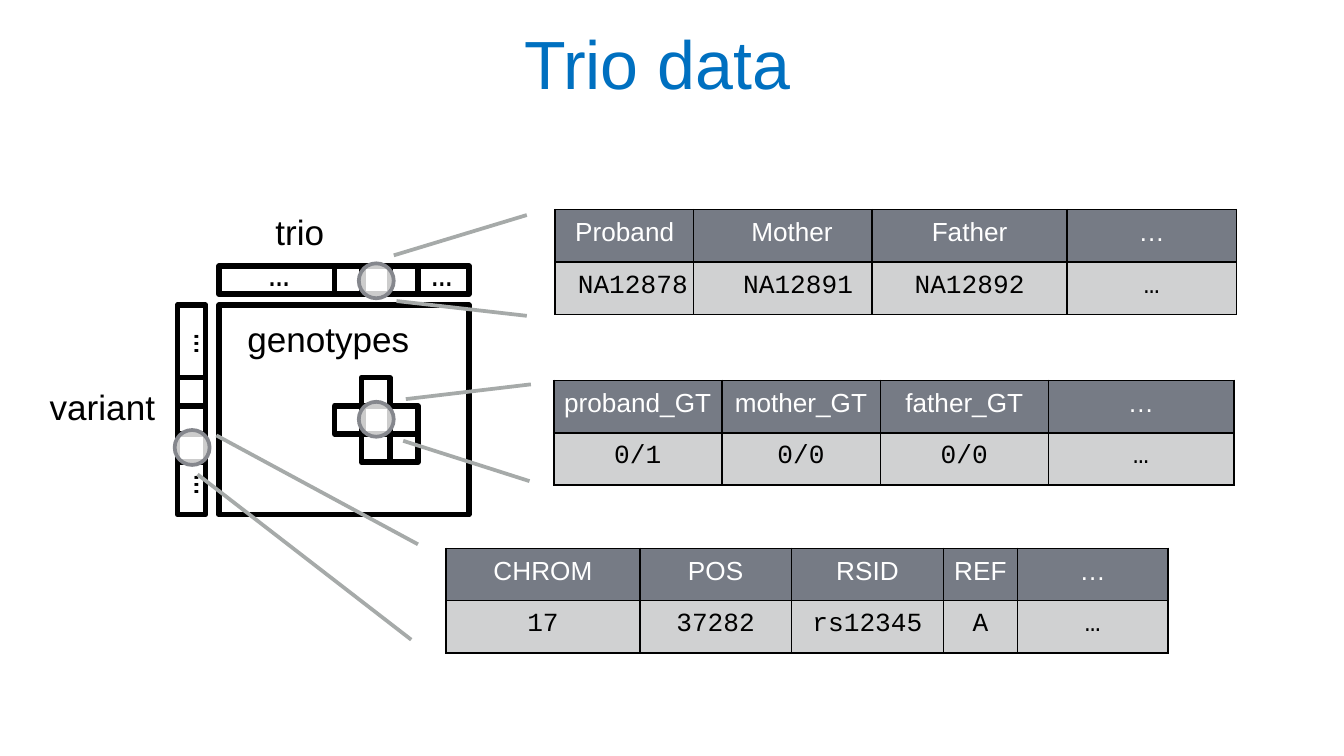
from lxml import etree
from pptx import Presentation
from pptx.dml.color import RGBColor
from pptx.enum.shapes import MSO_CONNECTOR, MSO_SHAPE
from pptx.enum.text import MSO_ANCHOR, MSO_AUTO_SIZE, PP_ALIGN
from pptx.oxml.ns import qn
from pptx.util import Inches, Pt

STRAIGHT = MSO_CONNECTOR.STRAIGHT
RECTANGLE, OVAL = MSO_SHAPE.RECTANGLE, MSO_SHAPE.OVAL
BOTTOM, NO_AUTOFIT = MSO_ANCHOR.BOTTOM, MSO_AUTO_SIZE.NONE
LEFT, CENTER = PP_ALIGN.LEFT, PP_ALIGN.CENTER

SANS, MONO = "Arial", "Courier New"
BLACK, WHITE, BLUE = "000000", "FFFFFF", "0070C0"
RING_GRAY, LINE_GRAY = "85878D", "A6AAA9"
HEADER_GRAY, VALUE_GRAY = "767B85", "D0D1D2"

CELL = 0.21
COLUMN_LEFTS = (2.49, 2.69, 2.9)
ROW_TOPS = (2.81, 3.02, 3.23)
TRIO_TOP, VARIANT_LEFT, MATRIX_LEFT, MATRIX_TOP = 1.98, 1.32, 1.63, 2.27
MATRIX_WIDTH, MATRIX_HEIGHT = 1.86, 1.56
GENOTYPE_CELLS = ((1, 0), (0, 1), (1, 1), (2, 1), (1, 2), (2, 2))
CALLOUT_LINES = (
    (3, 3.28, 3.94, 3.58), (3.02, 2.97, 3.95, 2.86),
    (2.95, 2.24, 3.92, 2.35), (2.93, 1.9, 3.92, 1.6),
    (1.61, 3.24, 3.11, 4.05), (1.47, 3.53, 3.06, 4.76),
)
LENS_CENTERS = ((2.8, 3.12), (2.8, 2.09), (1.43, 3.33))
LENS_SIZE = 0.26


def color(value):
    """Return the colour for a hex string."""
    return RGBColor.from_string(value)


def add_run(paragraph, text, size, font_name, font_color):
    """Add one formatted run to a paragraph."""
    run = paragraph.add_run()
    run.text = text
    run.font.size = Pt(size)
    run.font.name = font_name
    run.font.bold = False
    run.font.color.rgb = color(font_color)


def clear_margins(frame):
    """Remove the inner margins of a text frame."""
    frame.margin_left = frame.margin_right = frame.margin_bottom = 0
    frame.margin_top = Inches(0.01)


def add_title(slide, text):
    """Place and format the title placeholder."""
    title = slide.shapes.title
    title.left, title.top = Inches(3.9), Inches(0.13)
    title.width, title.height = Inches(2.05), Inches(0.64)
    frame = title.text_frame
    clear_margins(frame)
    frame.auto_size = NO_AUTOFIT
    frame.vertical_anchor = BOTTOM
    paragraph = frame.paragraphs[0]
    paragraph.alignment = LEFT
    add_run(paragraph, text, 36.5, SANS, BLUE)


def add_label(slide, text, left, top, width, height=0.34, font_name=SANS, vertical=False):
    """Add a one-line label, optionally reading upwards."""
    box = slide.shapes.add_textbox(Inches(left), Inches(top), Inches(width), Inches(height))
    frame = box.text_frame
    clear_margins(frame)
    frame.word_wrap = True
    paragraph = frame.paragraphs[0]
    if vertical:
        frame.margin_top = 0
        paragraph.line_spacing = Pt(18.6)
        box.element.txBody.find(qn("a:bodyPr")).set("vert", "vert270")
    add_run(paragraph, text, 18.8, font_name, BLACK)


def add_box(slide, left, top, width=CELL, height=CELL):
    """Add an unfilled black rectangle."""
    shape = slide.shapes.add_shape(
        RECTANGLE, Inches(left), Inches(top), Inches(width), Inches(height))
    shape.shadow.inherit = False
    shape.fill.background()
    shape.line.color.rgb = color(BLACK)
    shape.line.width = Pt(3)


def add_lens(slide, center_x, center_y):
    """Add a translucent white circle with a gray ring."""
    lens = slide.shapes.add_shape(
        OVAL, Inches(center_x - LENS_SIZE / 2), Inches(center_y - LENS_SIZE / 2),
        Inches(LENS_SIZE), Inches(LENS_SIZE))
    lens.shadow.inherit = False
    lens.fill.solid()
    lens.fill.fore_color.rgb = color(WHITE)
    fill_color = lens.element.spPr.find(qn("a:solidFill"))[0]
    etree.SubElement(fill_color, qn("a:alpha")).set("val", "80000")
    lens.line.color.rgb = color(RING_GRAY)
    lens.line.width = Pt(2)


def add_callout_line(slide, *ends):
    """Add a gray line between two points."""
    line = slide.shapes.add_connector(STRAIGHT, *map(Inches, ends))
    line.line.color.rgb = color(LINE_GRAY)
    line.line.width = Pt(2)
    etree.SubElement(line.element.spPr, qn("a:effectLst"))


def add_borders(cell):
    """Draw a thin black border round a table cell."""
    properties = cell._tc.get_or_add_tcPr()
    for side in ("a:lnL", "a:lnR", "a:lnT", "a:lnB"):
        border = etree.SubElement(properties, qn(side), w=str(Pt(1)))
        fill = etree.SubElement(border, qn("a:solidFill"))
        etree.SubElement(fill, qn("a:srgbClr"), val=BLACK)


def format_cell(cell, text, is_header, indent):
    """Fill a table cell, centring its text unless an indent is given."""
    add_borders(cell)
    cell.fill.solid()
    cell.fill.fore_color.rgb = color(HEADER_GRAY if is_header else VALUE_GRAY)
    cell.margin_left = Inches(indent)
    cell.margin_right = cell.margin_bottom = 0
    cell.margin_top = Inches(0.06 if is_header else 0.07)
    paragraph = cell.text_frame.paragraphs[0]
    paragraph.alignment = LEFT if indent else CENTER
    add_run(paragraph, text, 14, SANS if is_header else MONO, WHITE if is_header else BLACK)


def add_data_table(slide, left, top, widths, rows, indents=None):
    """Add a table with one header row and one value row."""
    row_height = Inches(0.39)
    table = slide.shapes.add_table(
        len(rows), len(widths), Inches(left), Inches(top),
        Inches(sum(widths)), row_height * len(rows)).table
    for column, width in zip(table.columns, widths):
        column.width = Inches(width)
    for row_index, texts in enumerate(rows):
        table.rows[row_index].height = row_height
        for column_index, text in enumerate(texts):
            indent = (indents or {}).get((row_index, column_index), 0)
            format_cell(table.cell(row_index, column_index), text, row_index == 0, indent)


def add_matrix(slide):
    """Draw the genotype matrix with its trio and variant tracks."""
    add_box(slide, MATRIX_LEFT, MATRIX_TOP, MATRIX_WIDTH, MATRIX_HEIGHT)
    add_box(slide, MATRIX_LEFT, TRIO_TOP, MATRIX_WIDTH)
    add_box(slide, VARIANT_LEFT, MATRIX_TOP, height=MATRIX_HEIGHT)
    for left in COLUMN_LEFTS:
        add_box(slide, left, TRIO_TOP)
    for top in ROW_TOPS:
        add_box(slide, VARIANT_LEFT, top)
    for column, row in GENOTYPE_CELLS:
        add_box(slide, COLUMN_LEFTS[column], ROW_TOPS[row])


def add_labels(slide):
    """Name the matrix and its tracks."""
    add_label(slide, "genotypes", 1.84, 2.35, 1.3)
    add_label(slide, "variant", 0.37, 2.86, 0.9)
    add_label(slide, "trio", 2.05, 1.56, 0.5)
    for left in (2, 3.21):
        add_label(slide, "…", left, 1.86, 0.17, font_name=MONO)
    for top in (2.47, 3.52):
        add_label(slide, "…", 1.27, top, 0.27, 0.17, MONO, vertical=True)


def main():
    """Build the slide and save it."""
    presentation = Presentation()
    presentation.slide_width = Inches(10)
    presentation.slide_height = Inches(10) * 9 // 16
    slide = presentation.slides.add_slide(presentation.slide_layouts[5])
    add_title(slide, "Trio data")
    add_matrix(slide)
    add_labels(slide)
    for ends in CALLOUT_LINES:
        add_callout_line(slide, *ends)
    for center in LENS_CENTERS:
        add_lens(slide, *center)
    add_data_table(slide, 4.12, 2.83, (1.25, 1.18, 1.25, 1.38), (
        ("proband_GT", "mother_GT", "father_GT", "…"), ("0/1", "0/0", "0/0", "…")))
    add_data_table(slide, 4.13, 1.56, (1.03, 1.33, 1.45, 1.26), (
        ("Proband", "Mother", "Father", "…"), ("NA12878", "NA12891", "NA12892", "…")),
        {(0, 0): 0.15, (0, 1): 0.43, (1, 0): 0.17, (1, 1): 0.37})
    add_data_table(slide, 3.32, 4.08, (1.44, 1.13, 1.13, 0.55, 1.12), (
        ("CHROM", "POS", "RSID", "REF", "…"), ("17", "37282", "rs12345", "A", "…")))
    presentation.save("out.pptx")


if __name__ == "__main__":
    main()
